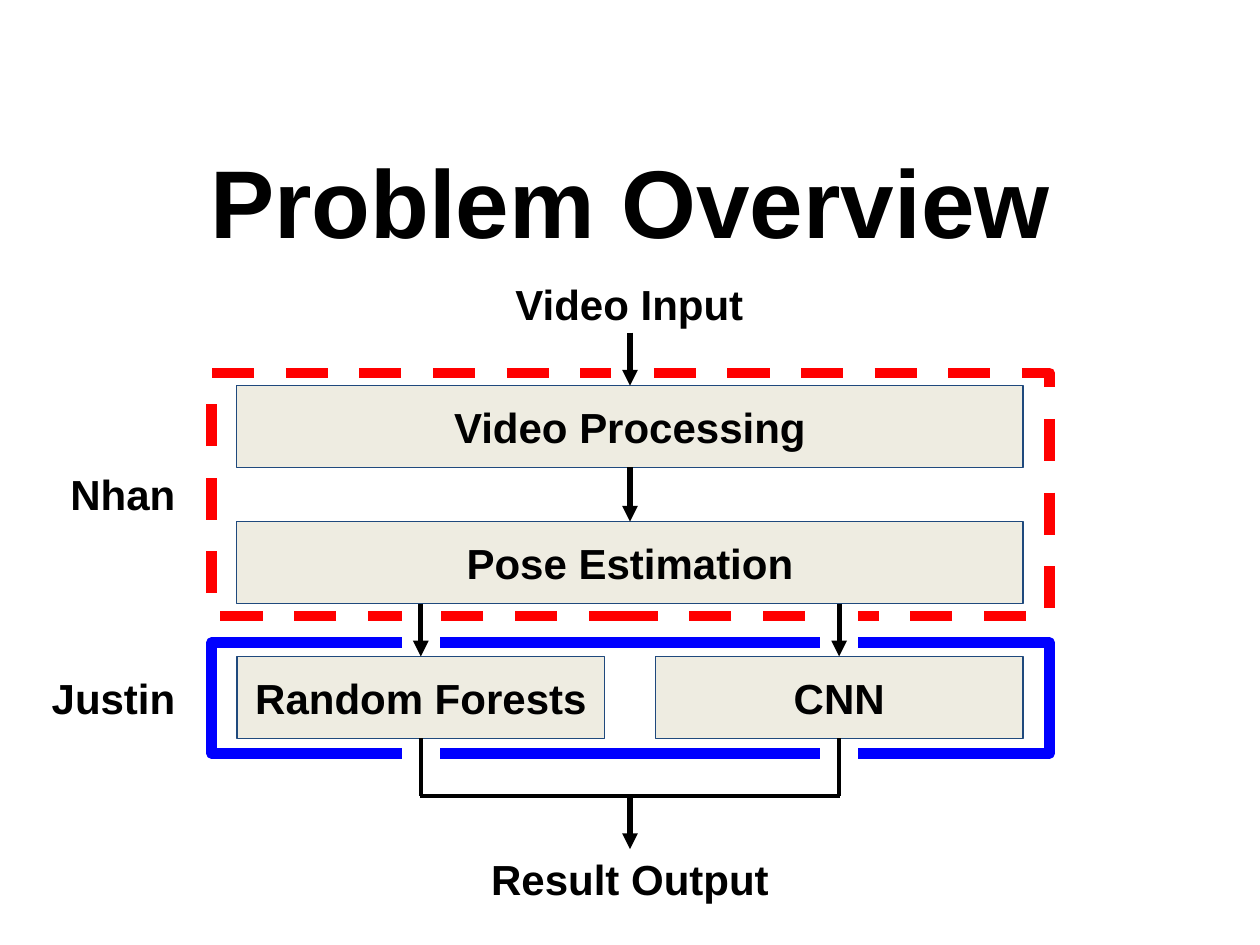
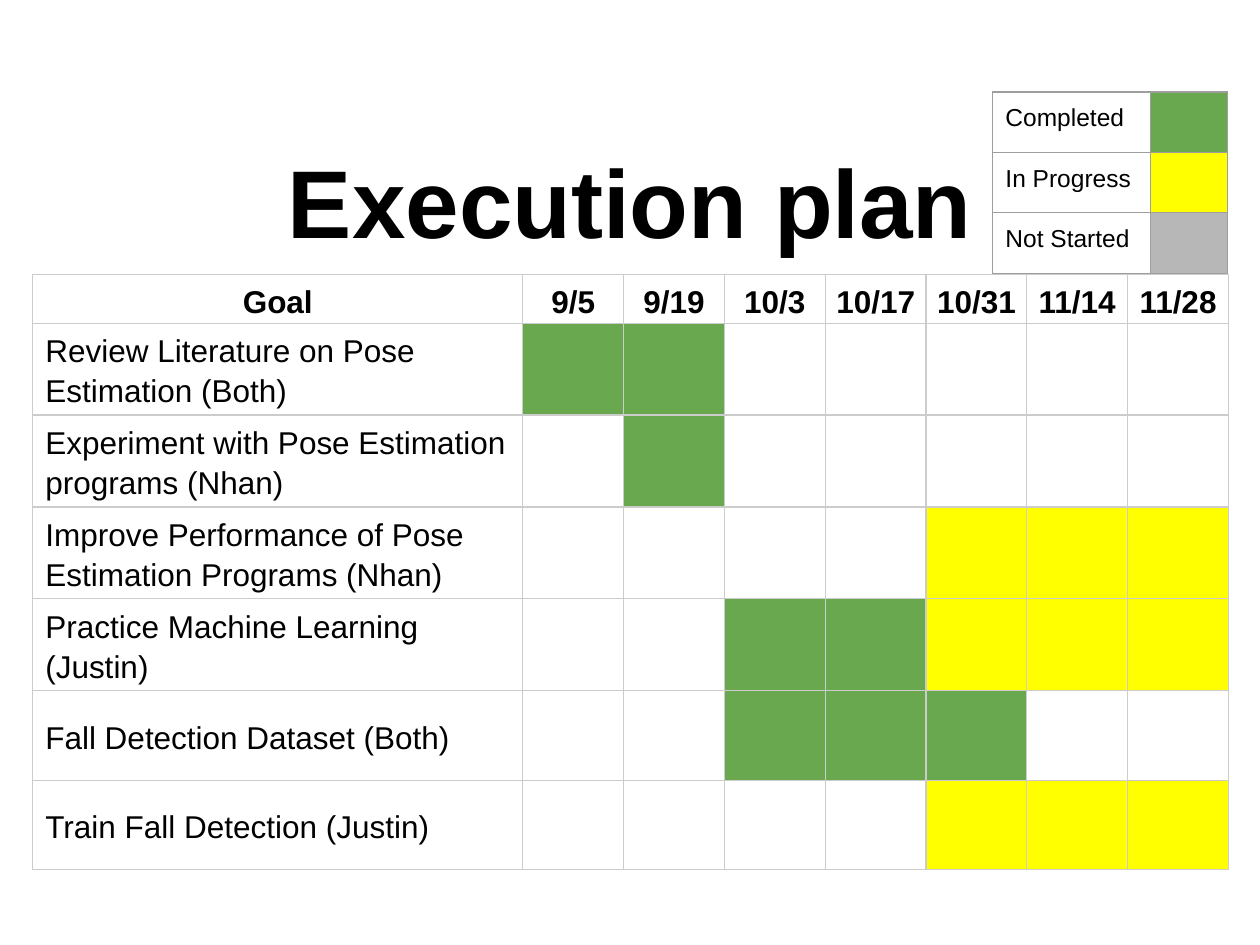
from lxml import etree
from pptx import Presentation
from pptx.dml.color import RGBColor
from pptx.enum.dml import MSO_LINE
from pptx.enum.shapes import MSO_CONNECTOR, MSO_SHAPE
from pptx.enum.text import MSO_ANCHOR, PP_ALIGN
from pptx.oxml.ns import qn
from pptx.util import Inches, Pt

RECTANGLE = MSO_SHAPE.RECTANGLE
STRAIGHT = MSO_CONNECTOR.STRAIGHT
DASH = MSO_LINE.DASH
LEFT, CENTER, RIGHT = PP_ALIGN.LEFT, PP_ALIGN.CENTER, PP_ALIGN.RIGHT
TOP, MIDDLE, BOTTOM = MSO_ANCHOR.TOP, MSO_ANCHOR.MIDDLE, MSO_ANCHOR.BOTTOM
TOP_SIDE, BOTTOM_SIDE = 0, 2

FONT = "Arial"
BLACK, WHITE = "000000", "FFFFFF"
RED, BLUE = "FF0000", "0000FF"
BOX_FILL, BOX_LINE = "EEECE1", "1F497D"
PLAN_BORDER, LEGEND_BORDER = "CCCCCC", "9E9E9E"

# Problem overview: left, top, width, height
TITLE_AREA = (0.5, 1.15, 9, 0.88)
CENTER_X, LEFT_X, RIGHT_X = 5, 3.34, 6.66
MERGE_Y = 6.32
FRAMES = [
    ((1.68, 5.1, 6.65, 0.88), BLUE, None),
    ((1.68, 2.96, 6.65, 1.93), RED, DASH),
]
LABELS = [
    ("Video Input", (3.85, 2.11, 2.29, 0.61), CENTER),
    ("Result Output", (3.63, 6.67, 2.74, 0.61), CENTER),
    ("Nhan", (0.28, 3.62, 1.21, 0.61), RIGHT),
    ("Justin", (0.28, 5.24, 1.21, 0.61), RIGHT),
]
STEPS = [
    ("Video Processing", (1.88, 3.06, 6.24, 0.65)),
    ("Pose Estimation", (1.88, 4.14, 6.24, 0.65)),
    ("Random Forests", (1.88, 5.21, 2.92, 0.65)),
    ("CNN", (5.2, 5.21, 2.92, 0.65)),
]
# Where arrows pass through a frame: centre x, top
FRAME_GAPS = [(CENTER_X, 2.6)] + [
    (x, top) for x in (LEFT_X, RIGHT_X) for top in (4.74, 5.82)]
GAP_WIDTH, GAP_HEIGHT = 0.29, 0.45
# from, to, from step, to step, width, arrowhead
FLOWS = [
    ((CENTER_X, 2.64), (CENTER_X, 3.06), None, "Video Processing", 3, True),
    ((CENTER_X, 3.71), (CENTER_X, 4.14), "Video Processing", "Pose Estimation", 3, True),
    ((LEFT_X, 4.79), (LEFT_X, 5.21), None, "Random Forests", 3, True),
    ((RIGHT_X, 4.79), (RIGHT_X, 5.21), None, "CNN", 3, True),
    ((LEFT_X, 5.86), (LEFT_X, MERGE_Y), "Random Forests", None, 2.25, False),
    ((RIGHT_X, 5.86), (RIGHT_X, MERGE_Y), "CNN", None, 2.25, False),
    ((3.33, MERGE_Y), (6.67, MERGE_Y), None, None, 2.25, False),
    ((CENTER_X, MERGE_Y), (CENTER_X, 6.74), None, None, 3, True),
]

# Execution plan: C completed, P in progress, N not started, - no work
STATUS_FILLS = {"C": "6AA84F", "P": "FFFF00", "N": "B7B7B7", "-": WHITE}
LEGEND = [("Completed", "C"), ("In Progress", "P"), ("Not Started", "N")]
PLAN_HEADER = ["Goal", "9/5", "9/19", "10/3", "10/17", "10/31", "11/14", "11/28"]
GOALS = [
    ("Review Literature on Pose Estimation (Both)", "CC-----"),
    ("Experiment with Pose Estimation programs (Nhan)", "-C-----"),
    ("Improve Performance of Pose Estimation Programs (Nhan)", "----PPP"),
    ("Practice Machine Learning (Justin)", "--CCPPP"),
    ("Fall Detection Dataset (Both)", "--CCC--"),
    ("Train Fall Detection (Justin)", "----PPP"),
]
HEADER_FORMAT = dict(size=18, bold=True, align=CENTER, anchor=BOTTOM,
                     insets=(0.03, 0.02), spacing=1.15)
GOAL_FORMAT = dict(size=18, anchor=MIDDLE, insets=(0.1, 0.02), spacing=1.15)
LEGEND_FORMAT = dict(size=14, insets=(0.1, 0.1))


def color(hex_value):
    return RGBColor.from_string(hex_value)


def inches(values):
    return [Inches(value) for value in values]


def write(frame, text, size, bold=False, align=LEFT, spacing=None):
    frame.word_wrap = True
    paragraph = frame.paragraphs[0]
    paragraph.alignment = align
    if spacing:
        paragraph.line_spacing = spacing
    run = paragraph.add_run()
    run.text = text
    font_format = {"name": FONT, "size": Pt(size), "bold": bold}
    for attribute, value in font_format.items():
        setattr(run.font, attribute, value)
    run.font.color.rgb = color(BLACK)


def set_insets(holder, horizontal, vertical):
    """Set the margins of a text frame or a table cell."""
    for side, value in dict(left=horizontal, right=horizontal,
                            top=vertical, bottom=vertical).items():
        setattr(holder, f"margin_{side}", Inches(value))


def add_text(slide, text, area, size, align, anchor=TOP, insets=(0.1, 0.1)):
    frame = slide.shapes.add_textbox(*inches(area)).text_frame
    frame.vertical_anchor = anchor
    set_insets(frame, *insets)
    write(frame, text, size, True, align)


def add_title(slide, text):
    add_text(slide, text, TITLE_AREA, 55, CENTER, MIDDLE, (0.1, 0.05))


def add_rectangle(slide, area, fill, line, width=0.75, dash=None):
    rectangle = slide.shapes.add_shape(RECTANGLE, *inches(area))
    rectangle.shadow.inherit = False
    if fill:
        rectangle.fill.solid()
        rectangle.fill.fore_color.rgb = color(fill)
    else:
        rectangle.fill.background()
    rectangle.line.color.rgb = color(line)
    rectangle.line.width = Pt(width)
    if dash:
        rectangle.line.dash_style = dash
    return rectangle


def add_step(slide, text, area):
    step = add_rectangle(slide, area, BOX_FILL, BOX_LINE)
    step.text_frame.vertical_anchor = MIDDLE
    set_insets(step.text_frame, 0.1, 0.1)
    write(step.text_frame, text, 24, True, CENTER)
    return step


def add_flow(slide, start, end, source, target, width, arrowhead):
    flow = slide.shapes.add_connector(STRAIGHT, *inches(start + end))
    if source:
        flow.begin_connect(source, BOTTOM_SIDE)
    if target:
        flow.end_connect(target, TOP_SIDE)
    flow.line.color.rgb = color(BLACK)
    flow.line.width = Pt(width)
    if arrowhead:
        etree.SubElement(flow.line._get_or_add_ln(), qn("a:tailEnd"), type="triangle")
    etree.SubElement(flow._element.spPr, qn("a:effectLst"))


def set_borders(cell, border):
    properties = cell._tc.get_or_add_tcPr()
    for position, side in enumerate("LRTB"):
        line = etree.Element(qn(f"a:ln{side}"), w=str(Pt(0.75)))
        fill = etree.SubElement(line, qn("a:solidFill"))
        etree.SubElement(fill, qn("a:srgbClr"), val=border)
        properties.insert(position, line)


def add_grid(slide, left, top, widths, heights, border):
    """Add a plain white table with equal borders."""
    table = slide.shapes.add_table(
        len(heights), len(widths),
        *inches((left, top, sum(widths), sum(heights)))).table
    table.first_row = table.horz_banding = False
    for column, width in zip(table.columns, widths):
        column.width = Inches(width)
    for row, height in zip(table.rows, heights):
        row.height = Inches(height)
    for cell in table.iter_cells():
        fill_cell(cell, "-")
        set_borders(cell, border)
    return table


def fill_cell(cell, status):
    cell.fill.solid()
    cell.fill.fore_color.rgb = color(STATUS_FILLS[status])


def write_cell(cell, text, insets, anchor=TOP, **text_format):
    cell.vertical_anchor = anchor
    set_insets(cell, *insets)
    write(cell.text_frame, text, **text_format)


def build_overview(slide):
    for area, line, dash in FRAMES:
        add_rectangle(slide, area, None, line, 6, dash)
    add_title(slide, "Problem Overview")
    for x, top in FRAME_GAPS:
        add_rectangle(slide, (x - GAP_WIDTH / 2, top, GAP_WIDTH, GAP_HEIGHT), WHITE, WHITE)
    for text, area, align in LABELS:
        add_text(slide, text, area, 24, align)
    steps = {text: add_step(slide, text, area) for text, area in STEPS}
    for start, end, source, target, width, arrowhead in FLOWS:
        add_flow(slide, start, end, steps.get(source), steps.get(target), width, arrowhead)


def build_plan(slide):
    add_title(slide, "Execution plan")
    dates = len(PLAN_HEADER) - 1
    plan = add_grid(slide, 0.26, 2.18, [3.89] + [0.8] * dates,
                    [0.36] + [0.71] * len(GOALS), PLAN_BORDER)
    for column, heading in enumerate(PLAN_HEADER):
        write_cell(plan.cell(0, column), heading, **HEADER_FORMAT)
    for row, (goal, statuses) in enumerate(GOALS, 1):
        write_cell(plan.cell(row, 0), goal, **GOAL_FORMAT)
        for column, status in enumerate(statuses, 1):
            fill_cell(plan.cell(row, column), status)

    legend = add_grid(slide, 7.88, 0.73, [1.25, 0.61], [0.48] * len(LEGEND), LEGEND_BORDER)
    for row, (meaning, status) in enumerate(LEGEND):
        write_cell(legend.cell(row, 0), meaning, **LEGEND_FORMAT)
        fill_cell(legend.cell(row, 1), status)


def main():
    deck = Presentation()
    deck.slide_width, deck.slide_height = Inches(10), Inches(7.5)
    blank = deck.slide_layouts[6]
    for build in (build_overview, build_plan):
        build(deck.slides.add_slide(blank))
    deck.save("out.pptx")


if __name__ == "__main__":
    main()
